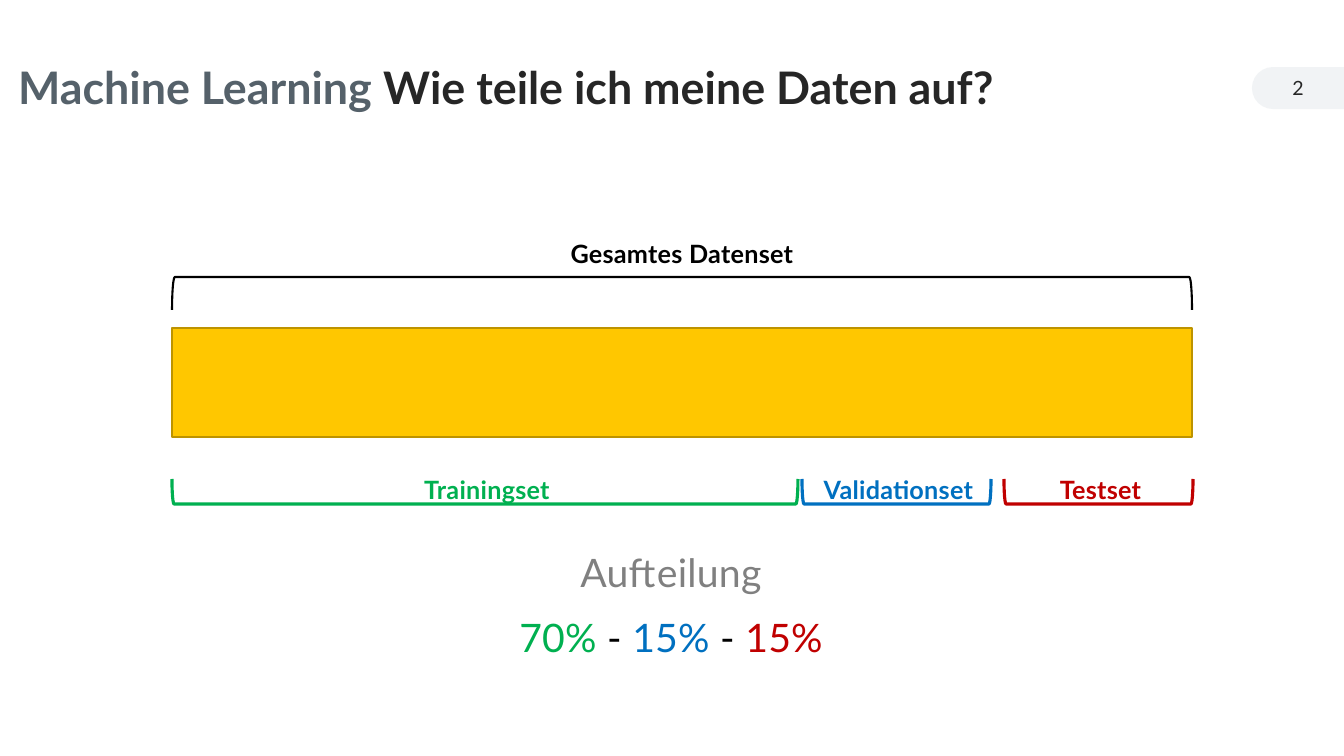
from dataclasses import dataclass

from pptx import Presentation
from pptx.dml.color import RGBColor
from pptx.enum.shapes import MSO_SHAPE
from pptx.enum.text import MSO_ANCHOR, MSO_AUTO_SIZE, PP_ALIGN
from pptx.util import Emu, Pt


@dataclass(frozen=True)
class Theme:
    font: str = "Lato"
    black: str = "000000"
    ink: str = "262626"
    slate: str = "55616A"
    gray: str = "808080"
    pale: str = "F1F3F5"
    gold: str = "FFC700"
    edge: str = "BD9300"
    green: str = "00B050"
    blue: str = "0070C0"
    red: str = "C00000"
    head: int = 32
    large: int = 28
    label: int = 18
    page: int = 14


THEME = Theme()


def px(count):
    return Emu(round(count * 914400 / 100.8))


def tint(color):
    return RGBColor.from_string(color)


def write(shape, runs, size, bold=False, align=PP_ALIGN.CENTER,
          anchor=MSO_ANCHOR.TOP, space=1.0, track=0):
    frame = shape.text_frame
    frame.word_wrap = True
    frame.auto_size = MSO_AUTO_SIZE.NONE
    frame.vertical_anchor = anchor
    frame.margin_left = frame.margin_right = 0
    frame.margin_top = frame.margin_bottom = px(5)
    para = frame.paragraphs[0]
    para.alignment = align
    para.line_spacing = space
    for text, color in runs:
        run = para.add_run()
        run.text = text
        run.font.name = THEME.font
        run.font.size = Pt(size)
        run.font.bold = bold
        run.font.color.rgb = tint(color)
        if track:
            run._r.get_or_add_rPr().set("spc", str(track))


def add_text(slide, box, runs, size, **style):
    shape = slide.shapes.add_textbox(*map(px, box))
    write(shape, runs, size, **style)


def add_form(slide, kind, box, fill=None, line=None, width=1, turn=0):
    left, top, wide, high = box
    if turn in (90, 270):
        shift = (wide - high) / 2
        left, top, wide, high = left + shift, top - shift, high, wide
    shape = slide.shapes.add_shape(kind, px(left), px(top), px(wide), px(high))
    shape.rotation = turn
    shape.shadow.inherit = False
    if fill:
        shape.fill.solid()
        shape.fill.fore_color.rgb = tint(fill)
    else:
        shape.fill.background()
    if line:
        shape.line.color.rgb = tint(line)
        shape.line.width = Pt(width)
    else:
        shape.line.fill.background()
    return shape


def add_title(slide):
    title = slide.shapes.title
    title.left, title.top, title.width, title.height = map(px, (18, 45, 1048, 89))
    runs = [("Machine Learning ", THEME.slate),
            ("Wie teile ich meine Daten auf?", THEME.ink)]
    write(title, runs, THEME.head, bold=True, align=PP_ALIGN.LEFT,
          anchor=MSO_ANCHOR.MIDDLE, space=0.9)


def add_page(slide):
    box = (1252, 67, 92, 42)
    badge = add_form(slide, MSO_SHAPE.ROUND_2_SAME_RECTANGLE, box,
                     fill=THEME.pale, turn=270)
    badge.adjustments[0] = 0.5
    add_text(slide, box, [("2", THEME.ink)], THEME.page, anchor=MSO_ANCHOR.MIDDLE)


def add_label(slide, box, text, color):
    add_text(slide, box, [(text, color)], THEME.label, bold=True, space=1.25, track=20)


def add_part(slide, left, wide, text, color):
    add_form(slide, MSO_SHAPE.LEFT_BRACKET, (left, 479, wide, 25),
             line=color, width=2.25, turn=270)
    add_label(slide, (left + wide / 2 - 107, 462, 218, 45), text, color)


def add_whole(slide):
    left, wide = 172, 1020
    add_form(slide, MSO_SHAPE.LEFT_BRACKET, (left, 277, wide, 33),
             line=THEME.black, width=1.5, turn=90)
    add_label(slide, (552, 226, 260, 48), "Gesamtes Datenset", THEME.black)
    add_form(slide, MSO_SHAPE.RECTANGLE, (left, 328, wide, 109),
             fill=THEME.gold, line=THEME.edge)


def add_split(slide):
    ratio = [("70% ", THEME.green), ("- ", THEME.black), ("15% ", THEME.blue),
             ("- ", THEME.black), ("15%", THEME.red)]
    for row, runs in enumerate([[("Aufteilung", THEME.gray)], ratio]):
        add_text(slide, (415, 532 + row * 65, 512, 65), runs, THEME.large,
                 space=1.25, track=20)


def main():
    deck = Presentation()
    deck.slide_width, deck.slide_height = px(1344), px(756)
    slide = deck.slides.add_slide(deck.slide_layouts[5])
    add_page(slide)
    add_title(slide)
    add_whole(slide)
    for part in [(172, 626, "Trainingset", THEME.green),
                 (802, 189, "Validationset", THEME.blue),
                 (1004, 189, "Testset", THEME.red)]:
        add_part(slide, *part)
    add_split(slide)
    deck.save("out.pptx")


if __name__ == "__main__":
    main()
